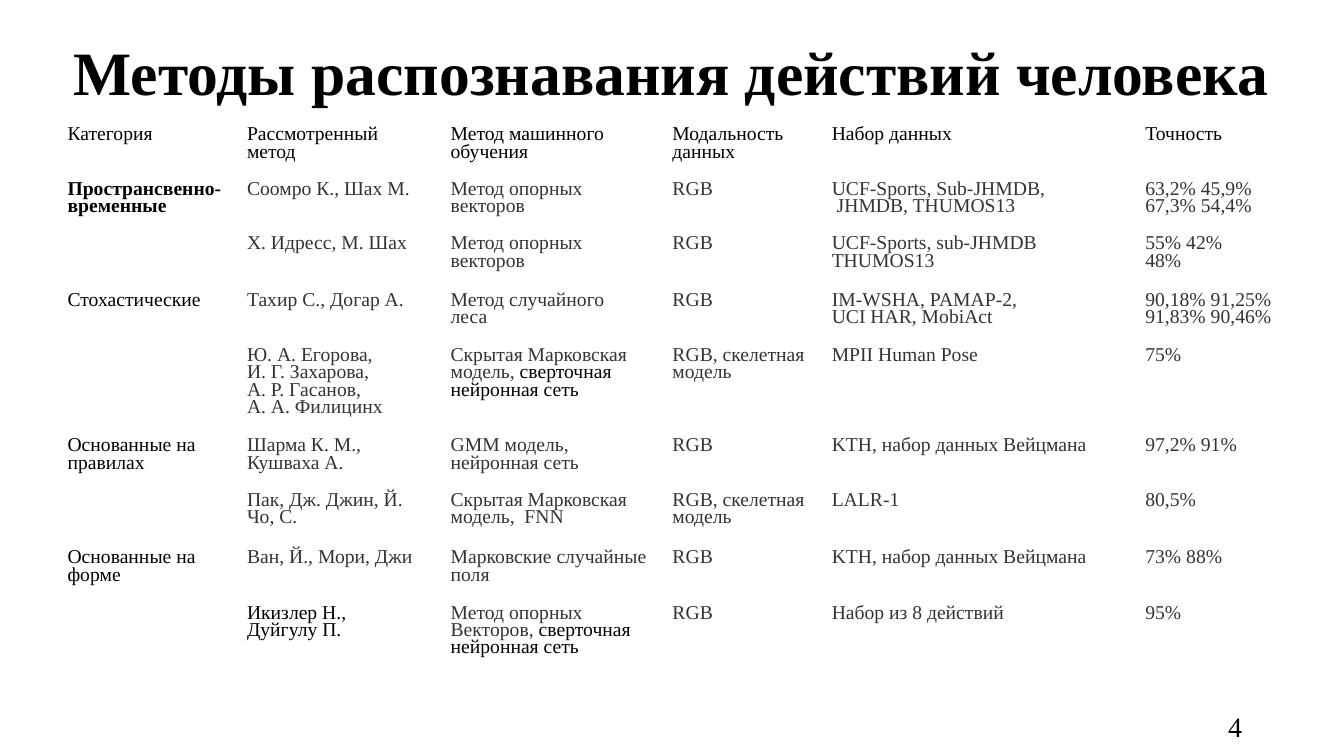
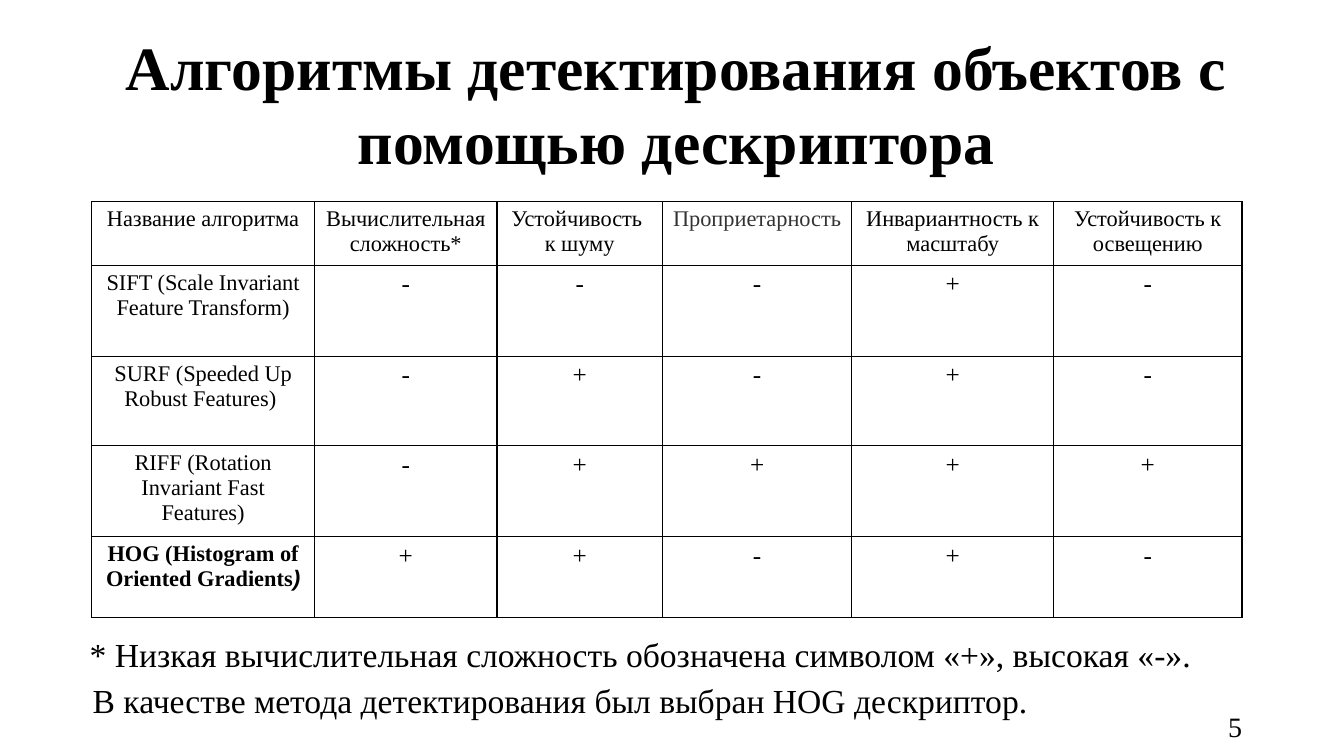
"""Build two slides on human action recognition and object detection."""
from dataclasses import dataclass
from typing import Optional, Sequence, Union

import pptx
import pptx.dml.color
import pptx.enum.text
import pptx.oxml
import pptx.oxml.ns
import pptx.util

Inches = pptx.util.Inches
ALIGN = pptx.enum.text.PP_ALIGN
BLACK, GRAY, WHITE = "000000", "333333", "FFFFFF"
SERIF, SANS = "Times New Roman", "Arial"


@dataclass(frozen=True)
class Run:
    text: str
    color: Optional[str] = None
    font: Optional[str] = None
    italic: bool = False


@dataclass(frozen=True)
class Box:
    left: float
    top: float
    width: float
    height: float


Text = Union[str, Sequence[Run]]

NETWORK = Run("сверточная нейронная сеть", BLACK)
METHOD_BOX = Box(0.57, 1.16, 12.17, 5.72)
METHOD_COLS = [1.78, 2.02, 2.2, 1.58, 3.11, 1.48]
METHOD_ROWS = [0.54, 0.54, 0.56, 0.55, 0.89, 0.54, 0.57, 0.55, 0.73]
METHODS: list[list[Text]] = [
    ["Категория", "Рассмотренный метод", "Метод машинного обучения",
     "Модальность данных", "Набор данных", "Точность"],
    ["Пространсвенно-\nвременные", "Соомро К., Шах М.", "Метод опорных\nвекторов",
     "RGB", "UCF-Sports, Sub-JHMDB,\n JHMDB, THUMOS13", "63,2% 45,9%\n67,3% 54,4%"],
    ["", "Х. Идресс, М. Шах", "Метод опорных\nвекторов",
     "RGB", "UCF-Sports, sub-JHMDB\nTHUMOS13", "55% 42%\n48%"],
    ["Стохастические", "Тахир С., Догар А.", "Метод случайного\nлеса",
     "RGB", "IM-WSHA, PAMAP-2,\nUCI HAR, MobiAct", "90,18% 91,25%\n91,83% 90,46%"],
    ["", "Ю. А. Егорова,\nИ. Г. Захарова,\nА. Р. Гасанов,\nА. А. Филицинх",
     [Run("Скрытая Марковская модель, "), NETWORK],
     "RGB, скелетная\nмодель", "MPII Human Pose", "75%"],
    ["Основанные на правилах", "Шарма К. М., Кушваха А.", "GMM модель, нейронная сеть",
     "RGB", "KTH, набор данных Вейцмана", "97,2% 91%"],
    ["", "Пак, Дж. Джин, Й. Чо, С.", "Скрытая Марковская модель,  FNN",
     "RGB, скелетная\nмодель", "LALR-1", "80,5%"],
    ["Основанные на форме", "Ван, Й., Мори, Джи", "Марковские случайные поля",
     "RGB", "KTH, набор данных Вейцмана", "73% 88%"],
    ["", [Run("Икизлер Н.,\nДуйгулу П.", BLACK)],
     [Run("Метод опорных\nВекторов, "), NETWORK],
     "RGB", "Набор из 8 действий", "95%"],
]

DETECTOR_BOX = Box(0.91, 2, 11.41, 4.12)
DETECTOR_COLS = [2.21, 1.81, 1.64, 1.88, 2, 1.87]
DETECTOR_ROWS = [0.63, 0.9, 0.89, 0.9, 0.8]
DETECTORS: list[list[Text]] = [
    ["Название алгоритма", "Вычислительная сложность*", "Устойчивость \nк шуму",
     [Run("Проприетарность", GRAY)], "Инвариантность к масштабу",
     "Устойчивость к освещению"],
    ["SIFT (Scale Invariant Feature Transform)", *"---+-"],
    ["SURF (Speeded Up Robust Features) ", *"-+-+-"],
    ["RIFF (Rotation Invariant Fast Features)", *"-++++"],
    [[Run("HOG (Histogram of Oriented Gradients"), Run(")", font=SANS, italic=True)],
     *"++-+-"],
]


def rgb(color: str) -> pptx.dml.color.RGBColor:
    """Turn a hex string into a colour."""
    return pptx.dml.color.RGBColor.from_string(color)


def write(tf, text: Text, *, size: float, color: str = BLACK, bold: bool = False,
          align=ALIGN.LEFT, spacing: Optional[float] = None, indent: float = 0) -> None:
    """Fill a text frame, starting a paragraph at each line break."""
    runs = [Run(text)] if isinstance(text, str) else text
    paragraphs = [tf.paragraphs[0]]
    for run in runs:
        for i, line in enumerate(run.text.split("\n")):
            if i:
                paragraphs.append(tf.add_paragraph())
            r = paragraphs[-1].add_run()
            r.text = line
            r.font.size = pptx.util.Pt(size)
            r.font.name = run.font or SERIF
            r.font.bold = bold
            r.font.italic = run.italic
            r.font.color.rgb = rgb(run.color or color)
    for p in paragraphs:
        p.alignment = align
        if spacing:
            p.line_spacing = spacing
        if indent:
            p._p.get_or_add_pPr().set("marL", str(Inches(indent)))


def add_text(s, box: Box, text: Text, **style) -> None:
    """Add a text box without side margins."""
    sp = s.shapes.add_textbox(*map(Inches, (box.left, box.top, box.width, box.height)))
    tf = sp.text_frame
    tf.word_wrap = True
    tf.margin_left = tf.margin_right = tf.margin_bottom = 0
    tf.margin_top = Inches(0.01)
    write(tf, text, **style)


def add_slide(prs, title: str, box: Box, number: int):
    """Add a blank slide with its title and number."""
    s = prs.slides.add_slide(prs.slide_layouts[6])
    add_text(s, box, title, size=44, bold=True, align=ALIGN.CENTER, indent=0.01)
    add_text(s, Box(12.14, 6.98, 0.61, 0.34), str(number), size=20, spacing=1.14, indent=0.04)
    return s


def add_table(s, box: Box, cols: Sequence[float], rows: Sequence[float], margin: float):
    """Add an unstyled table with the given column widths and row heights."""
    table = s.shapes.add_table(
        len(rows), len(cols),
        *map(Inches, (box.left, box.top, box.width, box.height))).table
    table.first_row = table.horz_banding = False
    for column, width in zip(table.columns, cols):
        column.width = Inches(width)
    for row, height in zip(table.rows, rows):
        row.height = Inches(height)
    for cell in table.iter_cells():
        cell.fill.background()
        cell.margin_left = cell.margin_right = Inches(0.1)
        cell.margin_top = Inches(margin)
        cell.margin_bottom = Inches(0.05)
    return table


def add_borders(cell, color: str, width: float) -> None:
    """Draw a solid line on the four sides of a cell."""
    tcPr = cell._tc.get_or_add_tcPr()
    for i, side in enumerate(("lnL", "lnR", "lnT", "lnB")):
        tcPr.insert(i, pptx.oxml.parse_xml(
            f'<a:{side} {pptx.oxml.ns.nsdecls("a")} w="{pptx.util.Pt(width)}">'
            f'<a:solidFill><a:srgbClr val="{color}"/></a:solidFill></a:{side}>'))


def add_methods(prs) -> None:
    """Add the slide that compares recognition methods."""
    s = add_slide(prs, "Методы распознавания действий человека",
                  Box(0.32, 0.33, 12.67, 0.75), 4)
    table = add_table(s, METHOD_BOX, METHOD_COLS, METHOD_ROWS, 0.1)
    for top in range(1, len(METHODS), 2):
        table.cell(top, 0).merge(table.cell(top + 1, 0))
    for i, row in enumerate(METHODS):
        for j, text in enumerate(row):
            if text:
                write(table.cell(i, j).text_frame, text, size=14, spacing=0.8,
                      color=GRAY if i and j else BLACK, bold=(i, j) == (1, 0))


def add_detectors(prs) -> None:
    """Add the slide that compares descriptor algorithms."""
    s = add_slide(prs, "Алгоритмы детектирования объектов с помощью дескриптора",
                  Box(1, 0.28, 11.41, 1.5), 5)
    table = add_table(s, DETECTOR_BOX, DETECTOR_COLS, DETECTOR_ROWS, 0.05)
    for i, row in enumerate(DETECTORS):
        for j, text in enumerate(row):
            cell = table.cell(i, j)
            add_borders(cell, BLACK, 1)
            write(cell.text_frame, text, size=18 if i and j else 16, align=ALIGN.CENTER,
                  bold=(i, j) == (len(DETECTORS) - 1, 0))
    table.cell(1, 0).fill.solid()
    table.cell(1, 0).fill.fore_color.rgb = rgb(WHITE)
    add_text(s, Box(0.88, 6.28, 11.33, 0.4),
             "* Низкая вычислительная сложность обозначена символом «+», высокая «-».",
             size=24, indent=0.01)
    add_text(s, Box(0.91, 6.74, 10.3, 0.43),
             "В качестве метода детектирования был выбран HOG дескриптор.",
             size=24, indent=0.01)


def main() -> None:
    """Build and save the presentation."""
    prs = pptx.Presentation()
    prs.slide_width, prs.slide_height = Inches(13.33), Inches(7.5)
    add_methods(prs)
    add_detectors(prs)
    prs.save("out.pptx")


if __name__ == "__main__":
    main()
